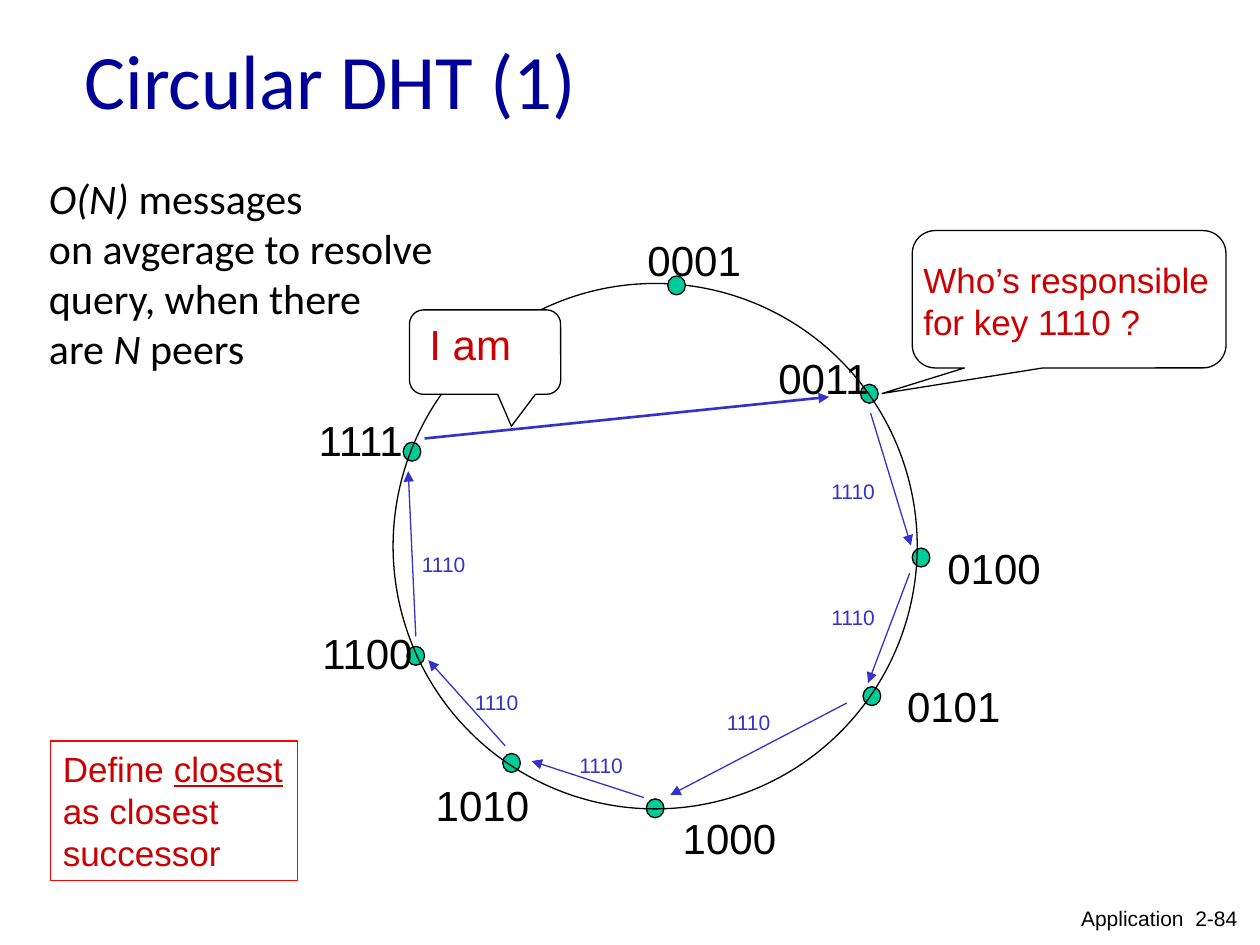
import pptx
import pptx.dml.color
import pptx.enum.shapes
import pptx.enum.text
import pptx.oxml
import pptx.oxml.ns
import pptx.util
from dataclasses import dataclass
from typing import NamedTuple, Optional

Inches = pptx.util.Inches
Pt = pptx.util.Pt
Shapes = pptx.enum.shapes.MSO_SHAPE
Align = pptx.enum.text.PP_ALIGN
Anchor = pptx.enum.text.MSO_ANCHOR
AutoSize = pptx.enum.text.MSO_AUTO_SIZE

BLACK, WHITE, GREEN = "000000", "FFFFFF", "00CC99"
BLUE, RED, NAVY = "3333CC", "CC0000", "000099"
BORDER_RED = "FF0000"


class Span(NamedTuple):
    text: str
    italic: bool = False
    underline: bool = False


@dataclass
class Peer:
    key: str
    dot: tuple[float, float]
    label: tuple[float, float]
    label_width: float = 0.95


@dataclass
class Hop:
    start: tuple[float, float]
    end: tuple[float, float]
    label: tuple[float, float]


PEERS = [
    Peer("0001", (5.3, 2.19), (5.04, 1.81)),
    Peer("0011", (6.83, 3.05), (6.08, 2.75), 0.93),
    Peer("0100", (7.24, 4.35), (7.42, 4.26)),
    Peer("0101", (6.85, 5.45), (7.1, 5.35)),
    Peer("1000", (5.13, 6.34), (5.32, 6.4)),
    Peer("1010", (3.99, 5.98), (3.36, 6.14)),
    Peer("1100", (3.23, 5.13), (2.46, 4.93), 0.93),
    Peer("1111", (3.2, 3.51), (2.43, 3.24), 0.88),
]
HOPS = [
    Hop((6.91, 3.28), (7.23, 4.33), (6.5, 3.75)),
    Hop((7.22, 4.55), (6.89, 5.42), (6.5, 4.75)),
    Hop((6.72, 5.58), (5.32, 6.31), (5.67, 5.58)),
    Hop((5.11, 6.33), (4.22, 6.04), (4.5, 5.92)),
    Hop((4.01, 5.92), (3.4, 5.24), (3.67, 5.42)),
    Hop((3.3, 5.05), (3.24, 3.74), (3.25, 4.33)),
]


def color(value: str) -> pptx.dml.color.RGBColor:
    return pptx.dml.color.RGBColor.from_string(value)


def write_text(frame, paragraphs, *, size: float, ink: str = BLACK, font: str = "Arial",
               align=Align.LEFT, anchor=Anchor.TOP, wrap: bool = False,
               grow: bool = True, spacing: Optional[float] = None) -> None:
    """Fill a frame with paragraphs, each a string or a list of spans."""
    frame.word_wrap = wrap
    frame.auto_size = AutoSize.SHAPE_TO_FIT_TEXT if grow else AutoSize.NONE
    frame.vertical_anchor = anchor
    for index, content in enumerate(paragraphs):
        para = frame.paragraphs[0] if index == 0 else frame.add_paragraph()
        para.alignment = align
        para.space_before = Pt(size * 0.2 if index else 0)
        if spacing:
            para.line_spacing = Pt(spacing)
        spans = [Span(content)] if isinstance(content, str) else content
        for span in spans:
            for number, piece in enumerate(span.text.split("\n")):
                if number:
                    para.add_line_break()
                if not piece:
                    continue
                run = para.add_run()
                run.text = piece
                run.font.name = font
                run.font.size = Pt(size)
                run.font.color.rgb = color(ink)
                run.font.italic = span.italic
                run.font.underline = span.underline


def add_text(page, at: tuple, paragraphs, **style):
    box = page.shapes.add_textbox(*map(Inches, at))
    write_text(box.text_frame, paragraphs, **style)
    return box


def add_outline(page, kind, at: tuple, fill: Optional[str] = None,
                line: str = BLACK, adjustments: tuple = ()):
    shape = page.shapes.add_shape(kind, *map(Inches, at))
    shape.shadow.inherit = False
    for index, value in enumerate(adjustments):
        shape.adjustments[index] = value
    if fill:
        shape.fill.solid()
        shape.fill.fore_color.rgb = color(fill)
    else:
        shape.fill.background()
    shape.line.color.rgb = color(line)
    shape.line.width = Pt(0.75)
    return shape


def add_arrow(page, start: tuple, end: tuple, width: float = 0.75) -> None:
    arrow = page.shapes.add_connector(
        pptx.enum.shapes.MSO_CONNECTOR.STRAIGHT, *map(Inches, start + end))
    arrow.line.color.rgb = color(BLUE)
    arrow.line.width = Pt(width)
    tail = pptx.oxml.parse_xml(
        f'<a:tailEnd {pptx.oxml.ns.nsdecls("a")} type="triangle"/>')
    arrow.line._get_or_add_ln().append(tail)
    effects = pptx.oxml.parse_xml(f'<a:effectLst {pptx.oxml.ns.nsdecls("a")}/>')
    arrow._element.spPr.append(effects)


def add_dot(page, peer: Peer) -> None:
    add_outline(page, Shapes.OVAL, peer.dot + (0.14, 0.15), GREEN)


def main() -> None:
    deck = pptx.Presentation()
    deck.slide_width, deck.slide_height = Inches(10), Inches(7.5)
    page = deck.slides.add_slide(deck.slide_layouts[5])

    # Title
    title = page.shapes.title
    title.left, title.top = Inches(0.57), Inches(0)
    title.width, title.height = Inches(8.5), Inches(1.25)
    write_text(title.text_frame, ["Circular DHT (1)"], size=44, ink=NAVY,
               font="Calibri", anchor=Anchor.MIDDLE, wrap=True, grow=False)

    # Ring of peers: it passes over every dot but the top one
    for peer in PEERS[1:]:
        add_dot(page, peer)
    add_outline(page, Shapes.OVAL, (3.12, 2.25, 4.16, 4.17))
    add_dot(page, PEERS[0])
    for peer in PEERS:
        add_text(page, peer.label + (peer.label_width, 0.51), [peer.key], size=24)

    # Query forwarded from peer to peer
    for hop in HOPS:
        add_arrow(page, hop.start, hop.end)
        add_text(page, hop.label + (0.57, 0.3), ["1110"], size=12, ink=BLUE)

    # Question
    add_outline(page, Shapes.ROUNDED_RECTANGULAR_CALLOUT, (7.24, 1.83, 2.49, 1.09),
                adjustments=(-0.596, 0.686, 0.167))
    add_text(page, (7.23, 2.06, 2.57, 0.74), ["Who’s responsible", "for key 1110 ?"],
             size=20, ink=RED, spacing=20)

    # Answer
    add_arrow(page, (3.37, 3.48), (6.58, 3.15), width=1.5)
    add_outline(page, Shapes.ROUNDED_RECTANGULAR_CALLOUT, (3.25, 2.46, 1.2, 0.67), WHITE,
                adjustments=(0.174, 0.878, 0.167))
    add_text(page, (3.31, 2.48, 1.42, 0.51), ["I am"], size=24, ink=RED, wrap=True)

    # Cost of a query
    add_text(page, (0.29, 1.39, 3.28, 1.69),
             [[Span("O(N) ", italic=True), Span("messages")],
              "on avgerage to resolve",
              "query, when there",
              [Span("are "), Span("N", italic=True), Span(" peers")]],
             size=24, font="Calibri", spacing=23.8)

    # Definition
    definition = add_outline(page, Shapes.RECTANGLE, (0.4, 5.88, 1.96, 1.11), line=BORDER_RED)
    write_text(definition.text_frame,
               [[Span("Define "), Span("closest", underline=True),
                 Span("\nas closest\nsuccessor")]], size=20, ink=RED)

    # Footer
    add_text(page, (8.33, 7.14, 1.59, 0.31), ["Application  2-84"], size=12,
             align=Align.RIGHT, wrap=True, grow=False)

    deck.save("out.pptx")


if __name__ == "__main__":
    main()
